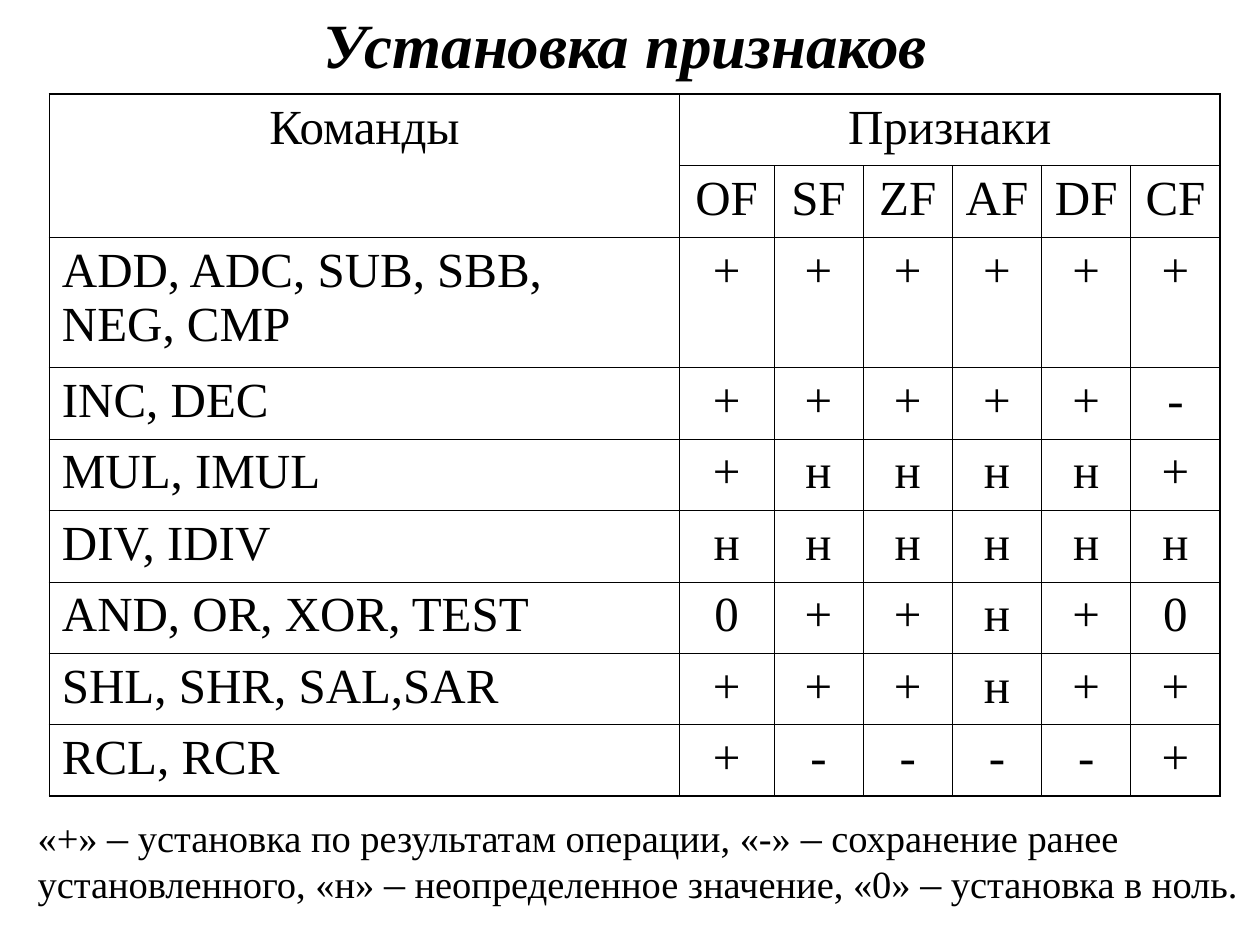
from pptx import Presentation
from pptx.dml import color
from pptx.enum import text
from pptx.oxml import ns, xmlchemy
from pptx.util import Pt

FONT = "Times New Roman"
INK = "000000"
THIN, THICK = 0.45, 1.08


def rgb(value):
    return color.RGBColor.from_string(value)


class SlideBuilder:
    def __init__(self, slide):
        self.slide = slide

    def style(self, font, size, bold=False, italic=False):
        font.name, font.size = FONT, Pt(size)
        font.bold, font.italic = bold, italic
        font.color.rgb = rgb(INK)

    def text_box(self, left, top, width, height):
        frame = self.slide.shapes.add_textbox(
            Pt(left), Pt(top), Pt(width), Pt(height)).text_frame
        frame.word_wrap = True
        return frame

    def title(self, words, *box):
        frame = self.text_box(*box)
        frame.vertical_anchor = text.MSO_ANCHOR.MIDDLE
        line = frame.paragraphs[0]
        line.text = words
        line.alignment = text.PP_ALIGN.CENTER
        self.style(line.font, 36, bold=True, italic=True)

    def legend(self, parts, *box):
        """Join the parts with dashes slightly larger than the text."""
        line = self.text_box(*box).paragraphs[0]
        line.line_spacing = 0.9
        self.style(line.font, 22)
        for i, part in enumerate(parts):
            if i:
                self.run(line, "–", 24)
            self.run(line, part, 22)

    def run(self, line, words, size):
        run = line.add_run()
        run.text = words
        self.style(run.font, size)

    def borders(self, cell, widths):
        props = cell._tc.get_or_add_tcPr()
        for i, (side, width) in enumerate(zip("LRTB", widths)):
            edge = xmlchemy.OxmlElement(f"a:ln{side}")
            edge.set("w", str(Pt(width)))
            fill = xmlchemy.OxmlElement("a:solidFill")
            ink = xmlchemy.OxmlElement("a:srgbClr")
            ink.set("val", INK)
            fill.append(ink)
            edge.append(fill)
            props.insert(i, edge)

    def table(self, rows, left, top, widths, heights, merges):
        table = self.slide.shapes.add_table(
            len(heights), len(widths), Pt(left), Pt(top),
            Pt(sum(widths)), Pt(sum(heights))).table
        table.first_row = table.horz_banding = False
        for column, width in zip(table.columns, widths):
            column.width = Pt(width)
        for row, height in zip(table.rows, heights):
            row.height = Pt(height)
        for start, end in merges:
            table.cell(*start).merge(table.cell(*end))

        for r, words in enumerate(rows):
            for c, word in enumerate(words):
                cell = table.cell(r, c)
                cell.fill.background()
                right, bottom = c + cell.span_width, r + cell.span_height
                outer = (c == 0, right == len(widths),
                         r == 0, bottom == len(heights))
                self.borders(cell, [THICK if o else THIN for o in outer])
                line = cell.text_frame.paragraphs[0]
                line.text = word
                is_command = c == 0 and r > 1
                line.alignment = (text.PP_ALIGN.LEFT if is_command
                                  else text.PP_ALIGN.CENTER)
                self.style(line.font, 28)


def main():
    deck = Presentation()
    deck.slide_width, deck.slide_height = Pt(720), Pt(540)
    page = SlideBuilder(deck.slides.add_slide(deck.slide_layouts[6]))

    # Title
    page.title("Установка признаков", 14.4, -2.2, 686, 54)

    # Flags set by each group of commands
    effects = {
        "ADD, ADC, SUB, SBB, NEG, CMP": "++++++",
        "INC, DEC": "+++++-",
        "MUL, IMUL": "+нннн+",
        "DIV, IDIV": "нннннн",
        "AND, OR, XOR, TEST": "0++н+0",
        "SHL, SHR, SAL,SAR": "+++н++",
        "RCL, RCR": "+----+",
    }
    rows = [["Команды", "Признаки"] + [""] * 5,
            ["", "OF", "SF", "ZF", "AF", "DF", "CF"]]
    rows += [[commands, *flags] for commands, flags in effects.items()]
    row_height = 40.85
    page.table(rows, 28.2, 53.8,
               widths=[360, 54] + [51] * 5,
               heights=[row_height] * 2 + [74.2] + [row_height] * 6,
               merges=[((0, 0), (1, 0)), ((0, 1), (0, 6))])

    # Legend
    page.legend(["«+» ",
                 " установка по результатам операции, «-» ",
                 " сохранение ранее установленного, «н» ",
                 " неопределенное значение, «0» ",
                 " установка в ноль."], 14.4, 463, 705.6, 62.6)

    deck.save("out.pptx")


if __name__ == "__main__":
    main()
